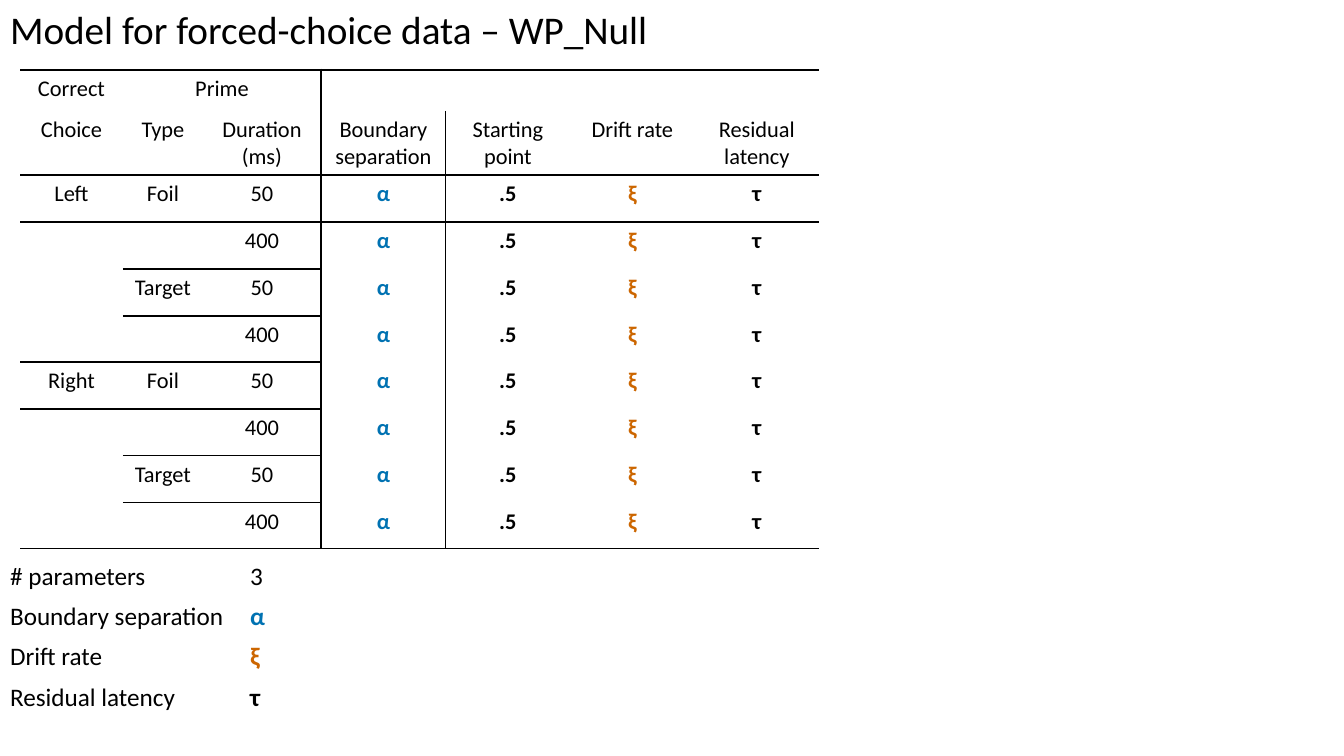
from lxml.etree import SubElement
from pptx import Presentation
from pptx.dml.color import RGBColor
from pptx.enum.text import MSO_ANCHOR, MSO_AUTO_SIZE, PP_ALIGN
from pptx.oxml.ns import qn
from pptx.util import Emu, Pt

COLORS = {"black": "000000", "white": "FFFFFF", "blue": "0072B2", "orange": "CC6600"}
SYMBOLS = {"α": "blue", "ξ": "orange", "τ": "black", ".5": "black"}
PLAIN_TABLE = "{2D5ABB26-0587-4C30-8999-92F81FD0307C}"
SCALE = 914400 / 100.8


def px(length):
    return Emu(round(length * SCALE))


def apply(target, values):
    for name, value in values.items():
        setattr(target, name, value)


class SlideBuilder:
    """Holds the style and the current slide, and adds elements to it."""

    font = "Calibri"

    def __init__(self, deck):
        self.page = deck.slides.add_slide(deck.slide_layouts[5])

    def fill_text(self, frame, text, size, align):
        frame.text = text
        for para in frame.paragraphs:
            para.alignment = align
            for span in para.runs:
                apply(span.font, {"name": self.font, "size": Pt(size), "bold": text in SYMBOLS})
                span.font.color.rgb = RGBColor.from_string(COLORS[SYMBOLS.get(text, "black")])

    def title(self, text, left, top, width, height, size):
        box = self.page.shapes.title
        apply(box, {"left": px(left), "top": px(top), "width": px(width), "height": px(height)})
        frame = box.text_frame
        self.fill_text(frame, text, size, PP_ALIGN.LEFT)
        apply(frame, {"word_wrap": False, "auto_size": MSO_AUTO_SIZE.SHAPE_TO_FIT_TEXT,
                      "vertical_anchor": MSO_ANCHOR.TOP})

    def table(self, rows, left, top, widths, heights, size, align, fill=None, borders=None):
        frame = self.page.shapes.add_table(len(heights), len(widths), px(left), px(top),
                                           px(sum(widths)), px(sum(heights)))
        table = frame.table
        apply(table, {"first_row": False, "horz_banding": False})
        table._tbl.tblPr.find(qn("a:tableStyleId")).text = PLAIN_TABLE
        for column, width in zip(table.columns, widths):
            column.width = px(width)
        for row, height in zip(table.rows, heights):
            row.height = px(height)
        for r, texts in enumerate(rows):
            for c, text in enumerate(texts):
                cell = table.cell(r, c)
                if text:
                    self.fill_text(cell.text_frame, text, size, align)
                self.borders(cell, (borders or {}).get((r, c), {}))
                if fill:
                    cell.fill.solid()
                    cell.fill.fore_color.rgb = RGBColor.from_string(COLORS[fill])
                else:
                    cell.fill.background()
        return table

    def borders(self, cell, edges):
        properties = cell._tc.get_or_add_tcPr()
        for edge in "LRTB":
            if edge in edges:
                line = SubElement(properties, qn(f"a:ln{edge}"), w=str(int(Pt(edges[edge]))))
                paint = SubElement(line, qn("a:solidFill"))
                SubElement(paint, qn("a:srgbClr"), val=COLORS["black"])


def model_borders(row_count, column_count):
    """Return the edge widths of each cell in the model table."""
    edges = {(r, c): {} for r in range(row_count) for c in range(column_count)}
    for c in range(column_count):
        edges[0, c]["T"] = 2.25
    for r in range(row_count):
        edges[r, 2]["R"] = edges[r, 3]["L"] = 1
    edges[0, 1]["R"] = 1
    group_starts = [2, 1, 2, 0]
    for r in range(1, row_count):
        full = r in (1, row_count - 1)
        columns = range(column_count) if full else range(group_starts[(r - 2) % 4], 3)
        for c in columns:
            edges[r, c]["B"] = 1
            if r + 1 < row_count:
                edges[r + 1, c]["T"] = 1
    return edges


deck = Presentation()
apply(deck, {"slide_width": px(1344), "slide_height": px(756)})
builder = SlideBuilder(deck)
builder.title("Model for forced-choice data – WP_Null", 0, 0, 665, 57, 28)

model_rows = [
    ["Correct", "Prime", "", "", "", "", ""],
    ["Choice", "Type", "Duration (ms)", "Boundary\nseparation", "Starting\npoint",
     "Drift rate", "Residual\nlatency"],
]
for choice in ("Left", "Right"):
    for prime in ("Foil", "Target"):
        for duration in ("50", "400"):
            first = duration == "50"
            model_rows.append([choice if first and prime == "Foil" else "",
                               prime if first else "", duration, "α", ".5", "ξ", "τ"])
model = builder.table(model_rows, 20, 70, [103, 80, 118] + [125, 124] * 2,
                      [41, 64] + [47, 47, 47, 46] * 2, 16, PP_ALIGN.CENTER,
                      borders=model_borders(len(model_rows), 7))
for first, last in ((1, 2), (3, 6)):
    model.cell(0, first).merge(model.cell(0, last))

parameter_rows = [["# parameters", "3"], ["Boundary separation", "α"], ["Drift rate", "ξ"],
                  ["Residual latency", "τ"], ["", ""]]
builder.table(parameter_rows, 0, 556, [240, 1092], [40] * 5, 18, PP_ALIGN.LEFT, fill="white")

deck.save("out.pptx")
